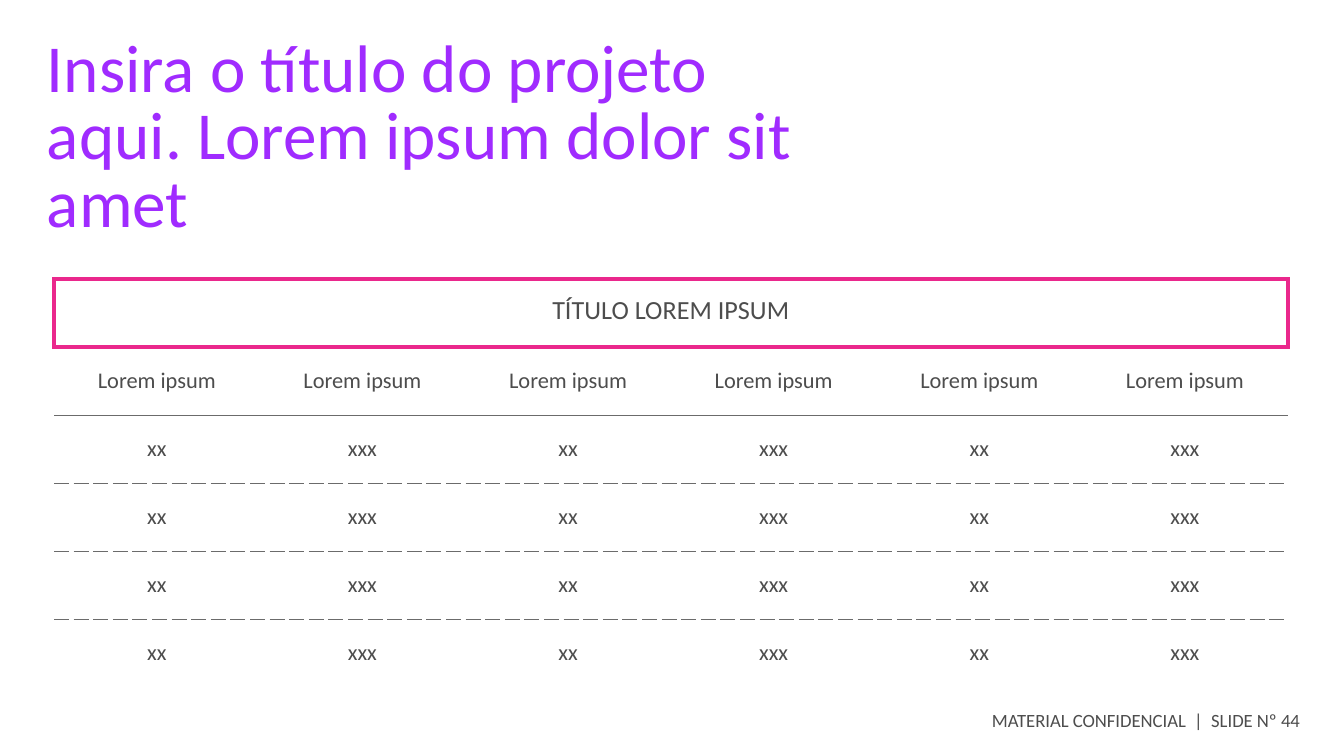
from lxml import etree
from pptx import Presentation
from pptx import util as u
from pptx.dml import color
from pptx.enum import text
from pptx.oxml import ns

COLORS = {"title": "A02BFF", "text": "4D4D4D", "frame": "EA288C", "rule": "6B6B6B", "white": "FFFFFF"}
FONT = "Calibri"


def px(length):
    return u.Emu(round(length * 914400 / 134.4))


def set_border(cell, position, side, border):
    name, width, dash = border
    line = etree.Element(ns.qn(f"a:ln{side}"), w=str(u.Pt(width)))
    fill = etree.SubElement(line, ns.qn("a:solidFill"))
    etree.SubElement(fill, ns.qn("a:srgbClr"), val=COLORS[name])
    etree.SubElement(line, ns.qn("a:prstDash"), val=dash)
    cell._tc.get_or_add_tcPr().insert(position, line)


presentation = Presentation()
presentation.slide_width, presentation.slide_height = px(1344), px(756)
slide = presentation.slides.add_slide(presentation.slide_layouts[5])

title = slide.shapes.title
title.left, title.top, title.width, title.height = px(47), px(39), px(759), px(211)
title.text_frame.text = "Insira o título do projeto aqui. Lorem ipsum dolor sit amet"
title.text_frame.vertical_anchor = text.MSO_ANCHOR.TOP

footer = slide.shapes.add_textbox(px(992), px(709), px(325), px(26))
footer.text_frame.text = "MATERIAL CONFIDENCIAL  |  SLIDE Nº 44"

for shape, size, name in [(title, 36, "title"), (footer, 10, "text")]:
    frame = shape.text_frame
    frame.word_wrap = True
    frame.auto_size = text.MSO_AUTO_SIZE.NONE
    frame.margin_left = frame.margin_top = frame.margin_right = frame.margin_bottom = 0
    paragraph = frame.paragraphs[0]
    paragraph.alignment = text.PP_ALIGN.LEFT
    paragraph.font.size = u.Pt(size)
    paragraph.font.name = FONT
    paragraph.font.color.rgb = color.RGBColor.from_string(COLORS[name])
title.text_frame.paragraphs[0].line_spacing = u.Pt(36)

rows = [["TÍTULO LOREM IPSUM"] + [""] * 5, ["Lorem ipsum"] * 6] + [["xx", "xxx"] * 3] * 4
frame_line = ("frame", 2.25, "solid")
header_line = ("rule", 0.5, "solid")
dashed_line = ("rule", 0.5, "dash")
blank_line = ("white", 1, "solid")
row_lines = [frame_line, frame_line, header_line] + [dashed_line] * 3 + [blank_line]

table = slide.shapes.add_table(6, 6, px(54), px(279), px(1234), px(408)).table
table.first_row = False
table.horz_banding = False
for column in table.columns:
    column.width = px(1234) // 6
for row in table.rows:
    row.height = px(68)
table.cell(0, 0).merge(table.cell(0, 5))

for row_index, values in enumerate(rows):
    side_line = frame_line if row_index == 0 else None
    sides = {"L": side_line, "R": side_line, "T": row_lines[row_index], "B": row_lines[row_index + 1]}
    for column_index, value in enumerate(values):
        cell = table.cell(row_index, column_index)
        cell.fill.background()
        cell.vertical_anchor = text.MSO_ANCHOR.MIDDLE
        for position, (side, border) in enumerate(sides.items()):
            set_border(cell, position, side, border or ("white", 0, "solid"))
        if value:
            cell.text = value
            paragraph = cell.text_frame.paragraphs[0]
            paragraph.alignment = text.PP_ALIGN.CENTER
            paragraph.line_spacing = u.Pt(14)
            paragraph.font.size = u.Pt(14 if row_index == 0 else 12)
            paragraph.font.name = FONT
            paragraph.font.color.rgb = color.RGBColor.from_string(COLORS["text"])

presentation.save("out.pptx")
